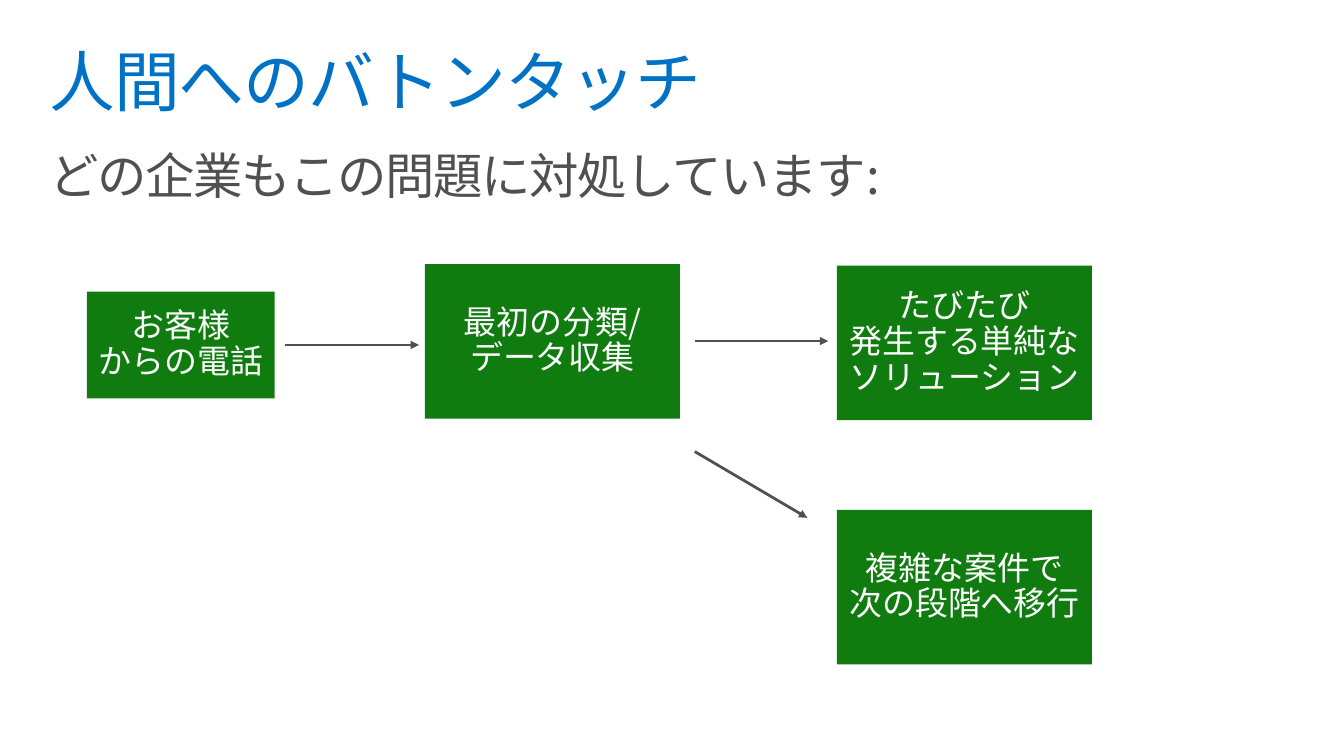
from lxml.etree import SubElement
from pptx import Presentation
from pptx.dml.color import RGBColor
from pptx.enum.shapes import MSO_CONNECTOR, MSO_SHAPE
from pptx.enum.text import MSO_ANCHOR, PP_ALIGN
from pptx.oxml.ns import qn
from pptx.util import Pt

FONT = "Noto Sans CJK JP"
COLORS = {"title": "0072C6", "gray": "505050", "green": "107C10", "white": "FFFFFF"}

HEADINGS = [
    (["人間へのバトンタッチ"], (28.8, 28.8, 921.6, 72), 7.2, 48, "title", -70),
    (["どの企業もこの問題に対処しています:"], (24.5, 103.7, 639.4, 203.8), 11.5, 36, "gray", -100),
]
STEP_SIZE = (185.8, 112.6)
STEPS = [
    (["お客様", "からの電話"], (63.4, 212.4), (136.8, 77.8)),
    (["最初の分類/", "データ収集"], (309.6, 192.4), STEP_SIZE),
    (["たびたび", "発生する単純なソリューション"], (609.8, 193.5), STEP_SIZE),
    (["複雑な案件で", "次の段階へ移行"], (609.8, 371.5), STEP_SIZE),
]
ARROWS = [
    ((207.4, 251.3), (305.3, 251.3)),
    ((506.2, 248.5), (603.4, 248.5)),
    ((506.2, 329), (588.2, 377.3)),
]


def color(name):
    return RGBColor.from_string(COLORS[name])


def write(sp, lines, inset, size, ink, align, anchor, spacing=0):
    tf = sp.text_frame
    tf.word_wrap = True
    tf.vertical_anchor = anchor
    tf.margin_left = tf.margin_right = Pt(inset[0])
    tf.margin_top = tf.margin_bottom = Pt(inset[1])
    p = tf.paragraphs[0]
    p.alignment = align
    p.line_spacing = 0.9
    for i, line in enumerate(lines):
        if i:
            p.add_line_break()
        r = p.add_run()
        r.text = line
        r.font.size = Pt(size)
        r.font.name = FONT
        r.font.color.rgb = color(ink)
        rPr = r.font._element
        SubElement(rPr, qn("a:ea")).set("typeface", FONT)
        if spacing:
            rPr.set("spc", str(spacing))


def add_step(s, lines, pos, size):
    sp = s.shapes.add_shape(MSO_SHAPE.RECTANGLE, *map(Pt, pos + size))
    sp.shadow.inherit = False
    sp.fill.solid()
    sp.fill.fore_color.rgb = color("green")
    sp.line.fill.background()
    write(sp, lines, (0, 11.5), 24, "white", PP_ALIGN.CENTER, MSO_ANCHOR.MIDDLE)


def add_arrow(s, start, end):
    cn = s.shapes.add_connector(MSO_CONNECTOR.STRAIGHT, *map(Pt, start + end))
    cn.line.color.rgb = color("gray")
    cn.line.width = Pt(2)
    spPr = cn._element.spPr
    SubElement(spPr.find(qn("a:ln")), qn("a:tailEnd")).set("type", "triangle")
    SubElement(spPr, qn("a:effectLst"))


def main():
    prs = Presentation()
    prs.slide_width, prs.slide_height = Pt(979.2), Pt(550.8)
    s = prs.slides.add_slide(prs.slide_layouts[6])
    for lines, box, side, size, ink, spacing in HEADINGS:
        sp = s.shapes.add_textbox(*map(Pt, box))
        write(sp, lines, (side, 7.2), size, ink, PP_ALIGN.LEFT, MSO_ANCHOR.TOP, spacing)
    for step in STEPS:
        add_step(s, *step)
    for arrow in ARROWS:
        add_arrow(s, *arrow)
    prs.save("out.pptx")


if __name__ == "__main__":
    main()
